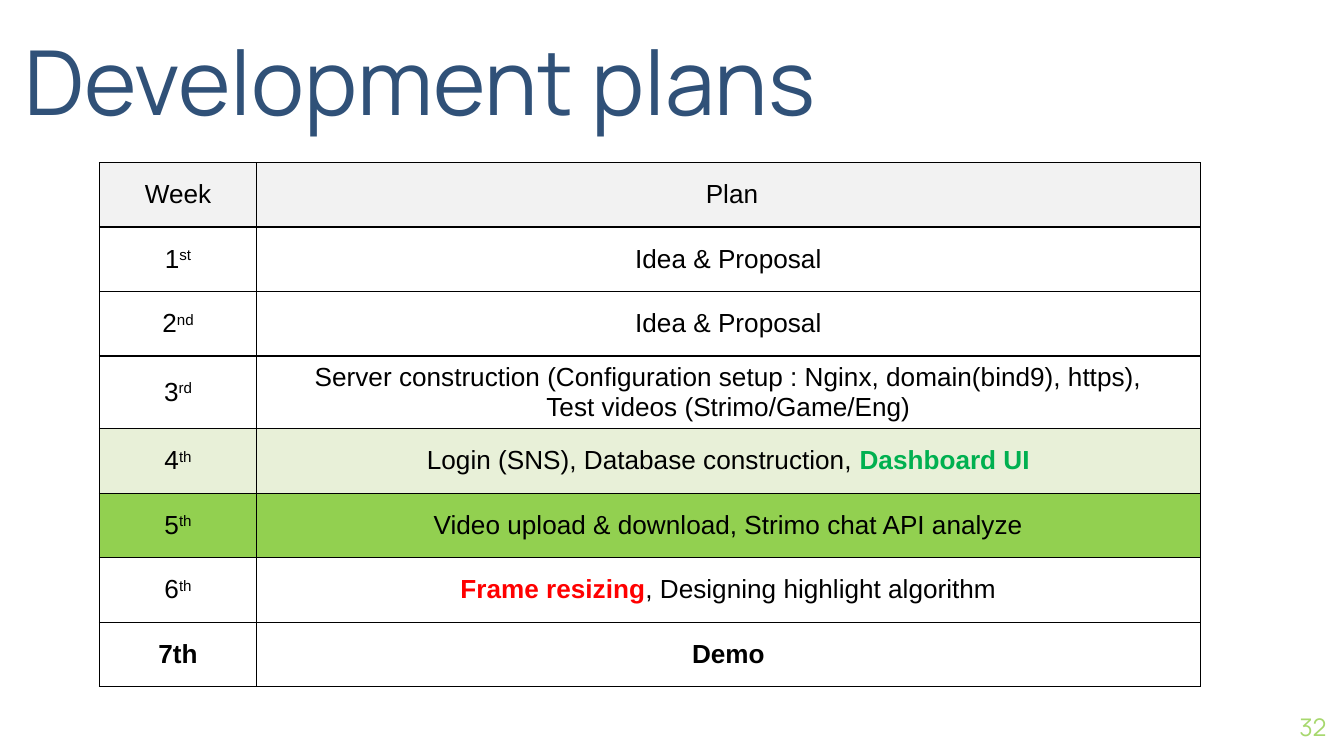
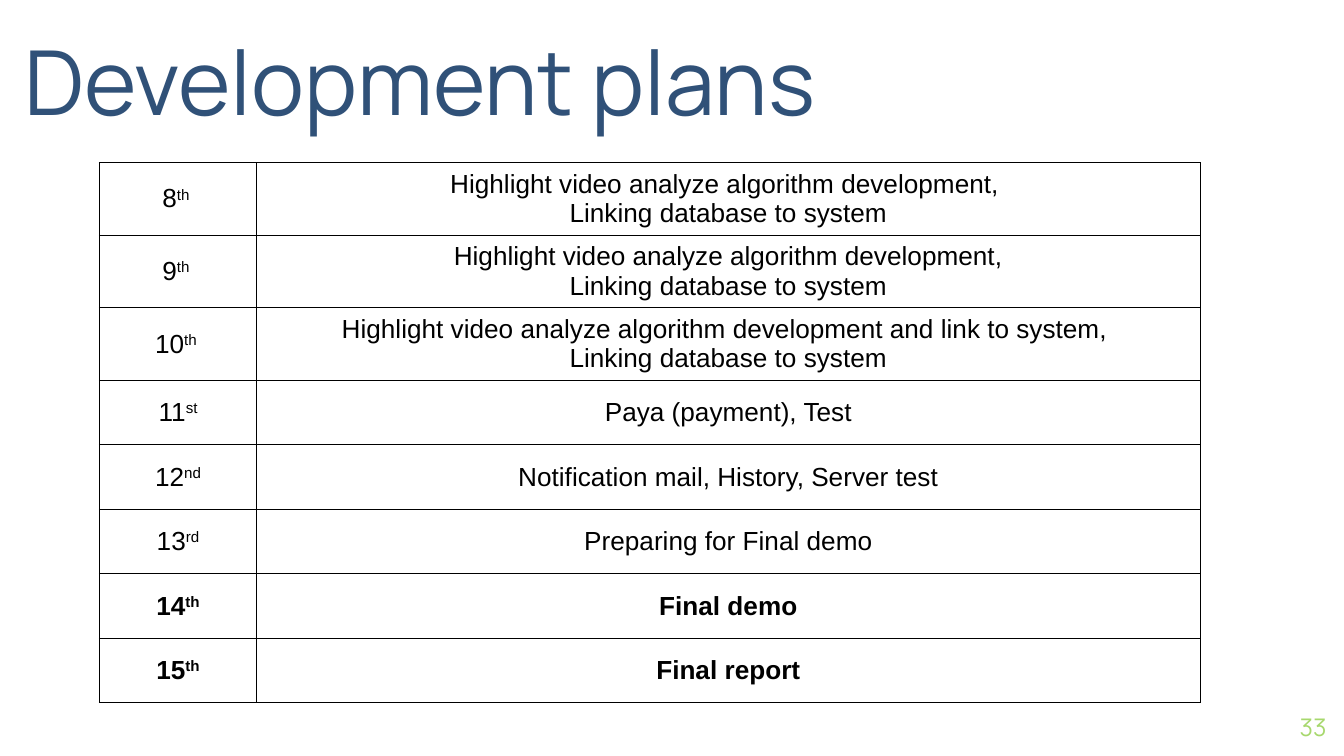
from dataclasses import dataclass

from lxml.etree import SubElement
from pptx import Presentation
from pptx.dml.color import RGBColor as RGB
from pptx.enum.text import MSO_ANCHOR as Anchor, MSO_AUTO_SIZE as AutoSize, PP_ALIGN as Align
from pptx.oxml.ns import qn
from pptx.util import Inches, Pt


@dataclass(frozen=True)
class Theme:
    heading_font: str = "Manrope"
    body_font: str = "Arial"
    title_size: int = 48
    body_size: int = 14
    number_size: int = 13
    title: str = "305178"
    number: str = "A7D86D"
    ink: str = "000000"
    white: str = "FFFFFF"
    header: str = "F2F2F2"
    in_progress: str = "E8F0D8"
    current: str = "92D050"
    done: str = "00B050"
    delayed: str = "FF0000"
    border: float = 0.75


theme = Theme()


def set_font(paragraph, name, size, color, align, bold=False):
    paragraph.alignment = align
    font = paragraph.font
    font.name, font.size, font.bold = name, Pt(size), bold
    font.color.rgb = RGB.from_string(color)


def draw_borders(cell):
    properties = cell._tc.get_or_add_tcPr()
    for position, side in enumerate(("a:lnL", "a:lnR", "a:lnT", "a:lnB")):
        line = SubElement(properties, qn(side), w=str(Pt(theme.border)))
        fill = SubElement(line, qn("a:solidFill"))
        SubElement(fill, qn("a:srgbClr"), val=theme.ink)
        properties.insert(position, line)


# Each row: week, ordinal suffix, plan lines, fill, bold.
# A plan line is a list of (text, highlight colour) pairs.
linking = [("Linking database to system", None)]
first_half = [
    ("Week", "", [[(" Plan", None)]], theme.header, False),
    ("1", "st", [[("Idea & Proposal", None)]], theme.white, False),
    ("2", "nd", [[("Idea & Proposal", None)]], theme.white, False),
    ("3", "rd", [
        [("Server construction (Configuration setup : Nginx, domain(bind9), https),", None)],
        [("Test videos (Strimo/Game/Eng)", None)],
    ], theme.white, False),
    ("4", "th", [
        [("Login (SNS), Database construction, ", None), ("Dashboard UI", theme.done)],
    ], theme.in_progress, False),
    ("5", "th", [[("Video upload & download, Strimo chat API analyze", None)]],
     theme.current, False),
    ("6", "th", [
        [("Frame resizing", theme.delayed), (", Designing highlight algorithm", None)],
    ], theme.white, False),
    ("7th", "", [[("Demo", None)]], theme.white, True),
]
second_half = [
    ("8", "th ", [[("Highlight video analyze algorithm development, ", None)], linking],
     theme.white, False),
    ("9", "th ", [[("Highlight video analyze algorithm development,", None)], linking],
     theme.white, False),
    ("10", "th ", [
        [("Highlight video analyze algorithm development and link to system, ", None)],
        linking,
    ], theme.white, False),
    ("11", "st", [[("Paya (payment), Test", None)]], theme.white, False),
    ("12", "nd", [[("Notification mail, History, Server test", None)]], theme.white, False),
    ("13", "rd", [[("Preparing for Final demo", None)]], theme.white, False),
    ("14", "th", [[("Final demo", None)]], theme.white, True),
    ("15", "th", [[("Final report", None)]], theme.white, True),
]

week_width, plan_width = 1.17, 7.02
row_height, tall_row_height = 0.48, 0.54

# Widescreen, 16:9
deck = Presentation()
deck.slide_width = Inches(10)
deck.slide_height = deck.slide_width * 9 // 16
title_only = deck.slide_layouts[5]

for page_number, schedule in enumerate((first_half, second_half), start=32):
    slide = deck.slides.add_slide(title_only)

    # Title and page number
    title = slide.shapes.title
    title.left, title.top = Inches(0.18), Inches(0.05)
    title.width, title.height = Inches(6.89), Inches(0.94)
    number = slide.shapes.add_textbox(Inches(9.27), Inches(5.19), Inches(0.6), Inches(0.43))
    for frame, text, anchor in (
        (title.text_frame, "Development plans", Anchor.BOTTOM),
        (number.text_frame, str(page_number), Anchor.MIDDLE),
    ):
        frame.text = text
        frame.word_wrap, frame.auto_size = True, AutoSize.NONE
        frame.vertical_anchor = anchor
        frame.margin_left = frame.margin_right = frame.margin_top = frame.margin_bottom = 0
    set_font(title.text_frame.paragraphs[0], theme.heading_font, theme.title_size,
             theme.title, Align.LEFT)
    set_font(number.text_frame.paragraphs[0], theme.heading_font, theme.number_size,
             theme.number, Align.RIGHT)

    # Schedule table
    heights = [tall_row_height if len(plan) > 1 else row_height
               for _, _, plan, _, _ in schedule]
    table = slide.shapes.add_table(
        len(schedule), 2, Inches(0.74), Inches(1.21),
        Inches(week_width + plan_width), Inches(sum(heights))).table
    table.first_row = table.horz_banding = False
    table.columns[0].width, table.columns[1].width = Inches(week_width), Inches(plan_width)

    for row, height, (week, suffix, plan, fill, bold) in zip(table.rows, heights, schedule):
        row.height = Inches(height)
        week_cell, plan_cell = row.cells

        # Week with raised ordinal suffix
        week_line = week_cell.text_frame.paragraphs[0]
        week_line.add_run().text = week
        if suffix:
            ordinal = week_line.add_run()
            ordinal.text = suffix
            ordinal.font._element.set("baseline", "30000")

        # Plan lines with highlighted tasks
        plan_frame = plan_cell.text_frame
        for index, tasks in enumerate(plan):
            plan_line = plan_frame.add_paragraph() if index else plan_frame.paragraphs[0]
            for text, highlight in tasks:
                task = plan_line.add_run()
                task.text = text
                if highlight:
                    task.font.bold = True
                    task.font.color.rgb = RGB.from_string(highlight)

        for cell in (week_cell, plan_cell):
            cell.vertical_anchor = Anchor.MIDDLE
            cell.fill.solid()
            cell.fill.fore_color.rgb = RGB.from_string(fill)
            draw_borders(cell)
            for paragraph in cell.text_frame.paragraphs:
                set_font(paragraph, theme.body_font, theme.body_size, theme.ink,
                         Align.CENTER, bold)

deck.save("out.pptx")
